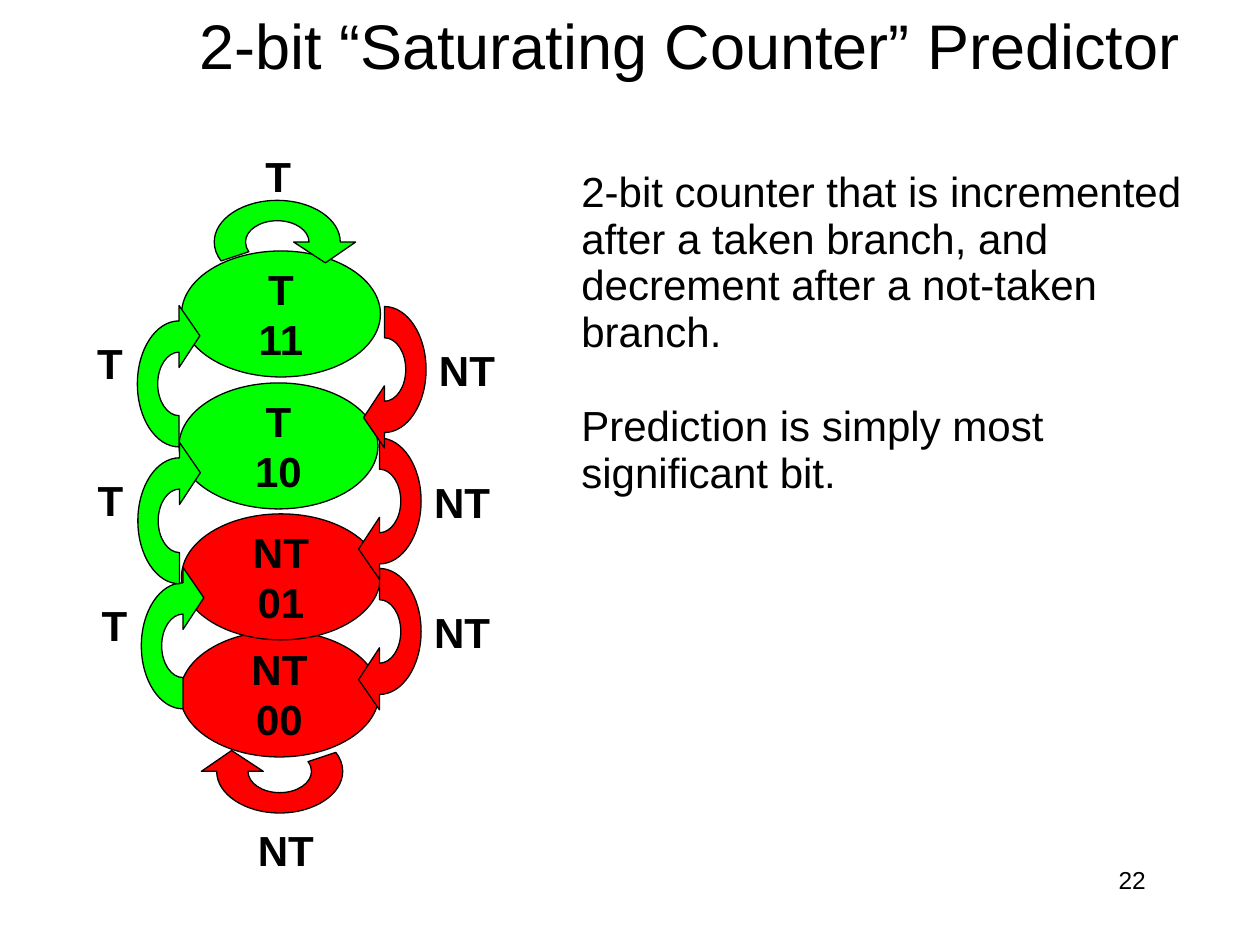
"""Build a slide showing the states of a 2-bit saturating counter predictor."""
from itertools import pairwise
from math import cos, radians, sin, tan

from lxml import etree
from pptx import Presentation
from pptx.dml.color import RGBColor
from pptx.enum.shapes import MSO_SHAPE
from pptx.enum.text import MSO_ANCHOR, MSO_AUTO_SIZE, PP_ALIGN
from pptx.oxml.ns import qn
from pptx.util import Cm, Pt

OVAL = MSO_SHAPE.OVAL
TOP, MIDDLE = MSO_ANCHOR.TOP, MSO_ANCHOR.MIDDLE
LEFT, CENTER, RIGHT = PP_ALIGN.LEFT, PP_ALIGN.CENTER, PP_ALIGN.RIGHT
NO_AUTOFIT = MSO_AUTO_SIZE.NONE

GREEN, RED, BLACK = "00FF00", "FF0000", "000000"
UP, RIGHTWARD, DOWN, LEFTWARD = range(4)

STATES = [
    ("T", "10", 3.61, 7.72, GREEN),
    ("NT", "00", 3.63, 12.72, RED),
    ("NT", "01", 3.66, 10.36, RED),
    ("T", "11", 3.66, 5.06, GREEN),
]
ARROWS = [
    (3.69, 13.02, LEFTWARD, GREEN),
    (7.65, 12.73, RIGHTWARD, RED),
    (5.64, 15.55, DOWN, RED),
    (5.59, 4.88, UP, GREEN),
    (3.62, 10.5, LEFTWARD, GREEN),
    (3.61, 7.74, LEFTWARD, GREEN),
    (7.65, 10.1, RIGHTWARD, RED),
    (7.75, 7.45, RIGHTWARD, RED),
]
LABELS = [
    ("T", 5.1, 2.9), ("T", 1.71, 6.68), ("T", 1.72, 9.44), ("T", 1.8, 11.95),
    ("NT", 8.6, 6.81), ("NT", 8.5, 9.47), ("NT", 8.5, 12.09),
    ("NT", 4.95, 16.49),
]
LABEL_WIDTHS = {"T": 1.02, "NT": 1.63}
EXPLANATION = [
    "2-bit counter that is incremented",
    "after a taken branch, and",
    "decrement after a not-taken branch.",
    "Prediction is simply most significant bit.",
]


def color(value):
    """Return the colour for a hex string."""
    return RGBColor.from_string(value)


def write_text(shape, lines, size=24, bold=False, align=LEFT, anchor=TOP,
               wrap=True, spacing=1.0):
    """Write one paragraph per line into a shape and return the paragraphs."""
    frame = shape.text_frame
    frame.auto_size = NO_AUTOFIT
    frame.word_wrap = wrap
    frame.vertical_anchor = anchor
    frame.margin_left = frame.margin_right = Cm(0.25)
    frame.margin_top = frame.margin_bottom = Cm(0.13)
    frame.text = "\n".join(lines)
    for paragraph in frame.paragraphs:
        paragraph.alignment = align
        paragraph.line_spacing = spacing
        paragraph.space_before = Pt(0)
        font = paragraph.runs[0].font
        font.name, font.size, font.bold = "Arial", Pt(size), bold
        font.color.rgb = color(BLACK)
    return frame.paragraphs


def place(shape, left, top, width, height):
    """Move and size a shape in centimetres."""
    shape.left, shape.top = Cm(left), Cm(top)
    shape.width, shape.height = Cm(width), Cm(height)


def paint(shape, fill):
    """Give a shape a flat fill and a thin black outline."""
    shape.shadow.inherit = False
    shape.fill.solid()
    shape.fill.fore_color.rgb = color(fill)
    shape.line.color.rgb = color(BLACK)
    shape.line.width = Pt(0.75)


def add_state(slide, prediction, bits, left, top, fill):
    """Add the ellipse of one counter state."""
    state = slide.shapes.add_shape(OVAL, Cm(left), Cm(top), Cm(4.01), Cm(2.54))
    paint(state, fill)
    write_text(state, [prediction, bits], bold=True, align=CENTER,
               anchor=MIDDLE, wrap=False)


def arc(radius_x, radius_y, angles):
    """Return the Bézier points of an elliptical arc through the angles."""
    def point(angle, slope=0):
        x, y = cos(angle) - slope * sin(angle), sin(angle) + slope * cos(angle)
        return radius_x * x, -radius_y * y

    turns = [radians(angle) for angle in angles]
    points = [point(turns[0])]
    for start, end in pairwise(turns):
        handle = 4 / 3 * tan((end - start) / 4)
        points += [point(start, handle), point(end, -handle), point(end)]
    return points


def bend(shape, first, count):
    """Turn runs of three line segments into cubic curves."""
    segments = list(shape._element.iter(qn("a:lnTo")))[first:first + 3 * count]
    for start in range(0, len(segments), 3):
        curve = etree.Element(qn("a:cubicBezTo"))
        segments[start].addprevious(curve)
        for segment in segments[start:start + 3]:
            curve.append(segment[0])
            segment.getparent().remove(segment)


def add_arrow(slide, center_x, center_y, direction, fill):
    """Add a curved arrow that bulges in a direction from its centre."""
    angles = [0, 90, 180, 207] if direction in (UP, DOWN) else [0, 90, 180]
    curves = len(angles) - 1
    outline = arc(0.64, 0.43, angles) + arc(1.27, 0.84, angles[::-1])
    outline += [(1.58, 0), (0.97, 0.42), (0.33, 0)]
    for _ in range(direction):
        outline = [(-y, x) for x, y in outline]
    points = [(Cm(center_x + x), Cm(center_y + y)) for x, y in outline]
    builder = slide.shapes.build_freeform(*points[0])
    builder.add_line_segments(points[1:], close=True)
    arrow = builder.convert_to_shape()
    bend(arrow, 3 * curves + 1, curves)
    bend(arrow, 0, curves)
    paint(arrow, fill)


def add_label(slide, text, left, top, width, **text_format):
    """Add a one-line text box."""
    label = slide.shapes.add_textbox(Cm(left), Cm(top), Cm(width), Cm(1.27))
    write_text(label, [text], **text_format)


def fill_title(slide):
    """Place and write the title."""
    title = slide.shapes.title
    place(title, 2.4, 0, 23, 3.3)
    write_text(title, ["2-bit “Saturating Counter” Predictor"], size=36,
               align=CENTER)


def fill_body(slide):
    """Place and write the explanation without bullets."""
    body = slide.placeholders[1]
    place(body, 11.47, 3.29, 13.11, 6.93)
    paragraphs = write_text(body, EXPLANATION, spacing=0.93)
    for paragraph in paragraphs:
        properties = paragraph._p.get_or_add_pPr()
        properties.set("marL", "0")
        properties.set("indent", "0")
        etree.SubElement(properties, qn("a:buNone"))
    paragraphs[-1].space_before = Pt(27)


def main():
    """Build and save the presentation."""
    presentation = Presentation()
    presentation.slide_width, presentation.slide_height = Cm(25.4), Cm(19.05)
    slide = presentation.slides.add_slide(presentation.slide_layouts[1])
    fill_title(slide)
    fill_body(slide)
    for state in STATES:
        add_state(slide, *state)
    for arrow in ARROWS:
        add_arrow(slide, *arrow)
    for text, left, top in LABELS:
        add_label(slide, text, left, top, LABEL_WIDTHS[text], bold=True,
                  wrap=False)
    add_label(slide, "22 ", 18.21, 17.31, 5.28, size=14, align=RIGHT)
    presentation.save("out.pptx")


if __name__ == "__main__":
    main()
